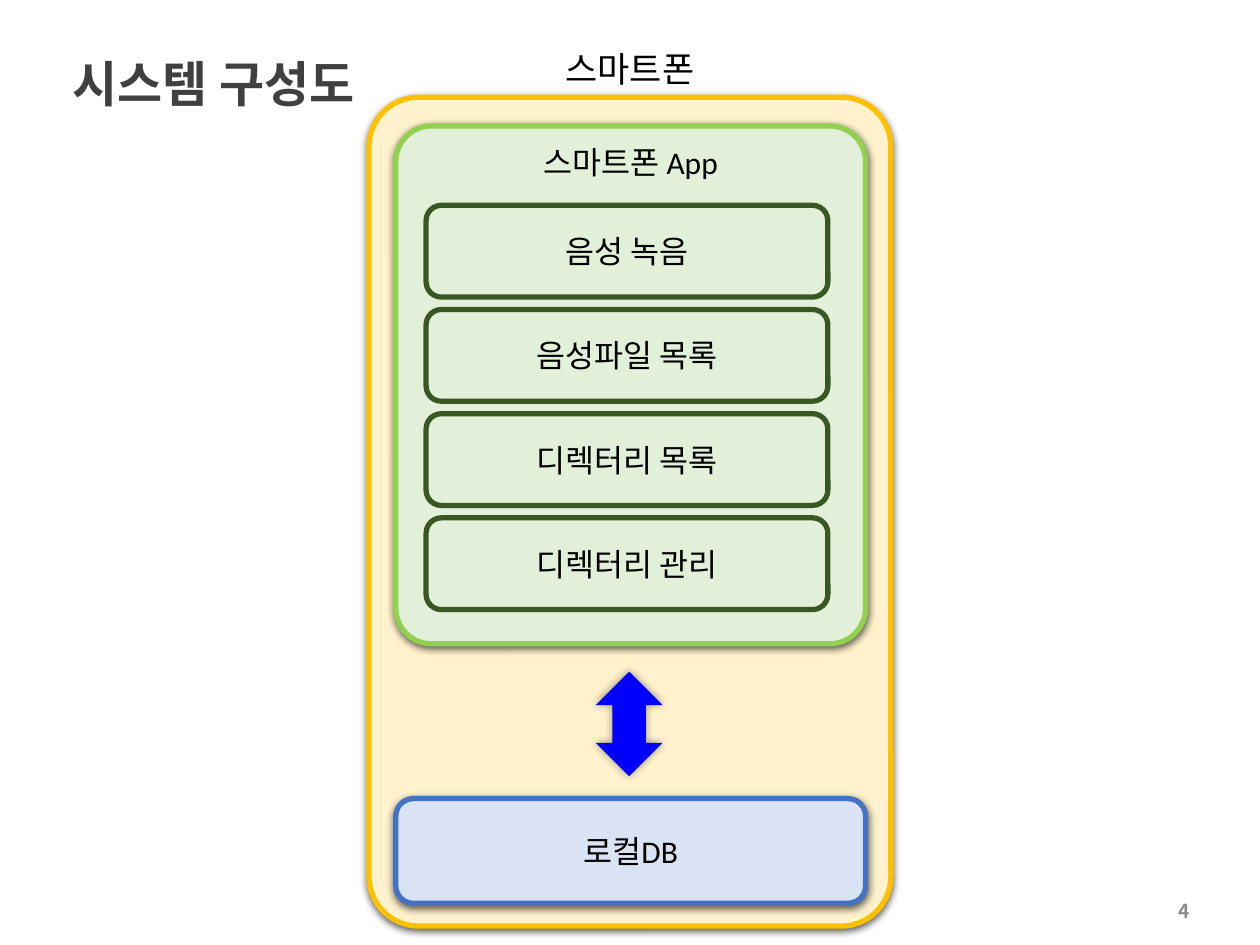
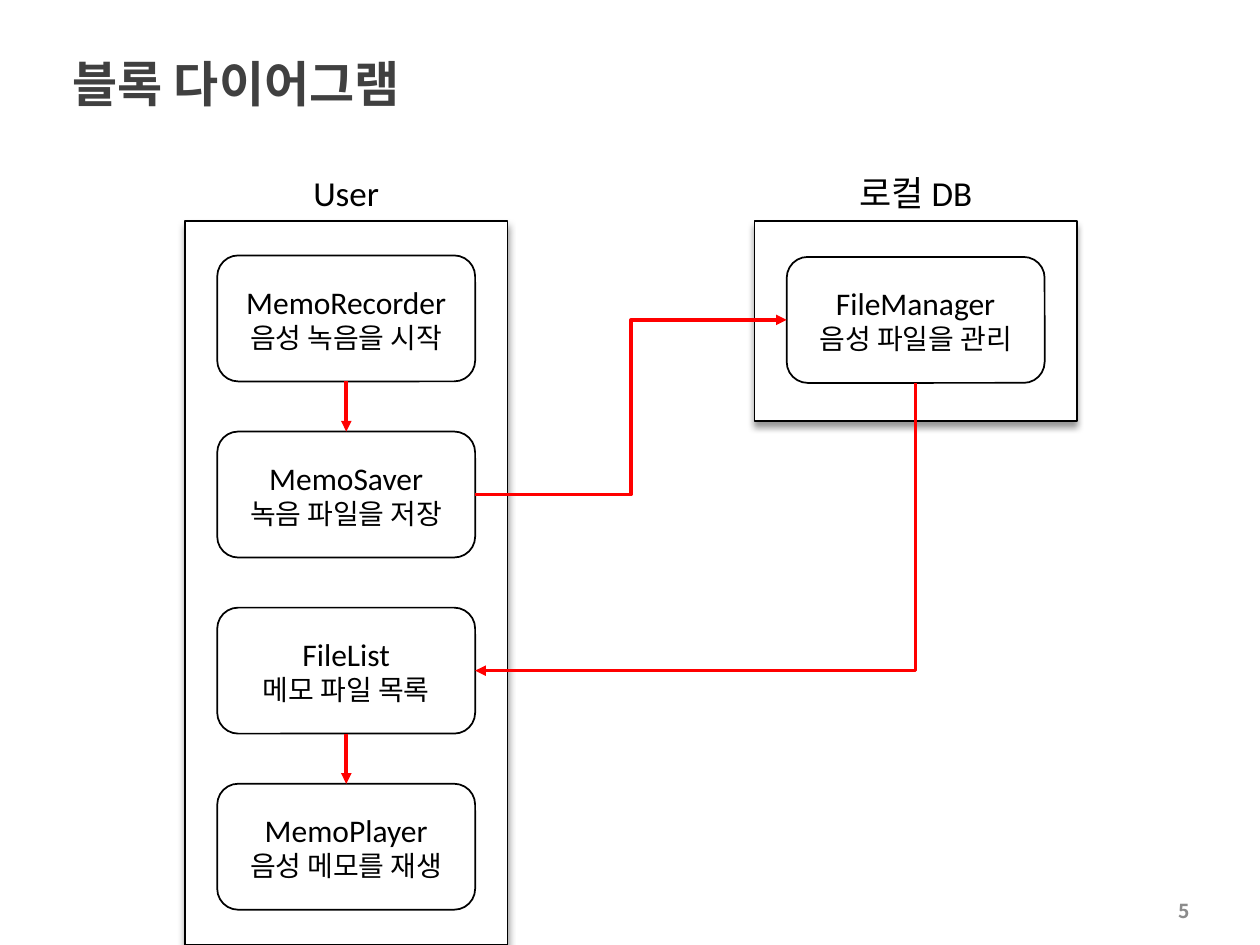
from lxml.etree import SubElement
from pptx import Presentation
from pptx.dml.color import RGBColor
from pptx.enum.shapes import MSO_CONNECTOR, MSO_SHAPE
from pptx.enum.text import MSO_ANCHOR, PP_ALIGN
from pptx.oxml.ns import qn
from pptx.util import Cm, Pt

# Content
SYSTEM = {
    "title": "시스템 구성도", "number": "4", "phone": "스마트폰",
    "app": "스마트폰 App", "db": "로컬DB",
    "modules": ["음성 녹음", "음성파일 목록", "디렉터리 목록", "디렉터리 관리"],
}
BLOCKS = {
    "title": "블록 다이어그램", "number": "5", "user": "User", "db": "로컬 DB",
    "user_blocks": [
        ("MemoRecorder", "음성 녹음을 시작"),
        ("MemoSaver", "녹음 파일을 저장"),
        ("FileList", "메모 파일 목록"),
        ("MemoPlayer", "음성 메모를 재생"),
    ],
    "db_block": ("FileManager", "음성 파일을 관리"),
}

# Shared look
COLORS = {
    "title": "404040", "number": "8C8C8C", "black": "000000", "white": "FFFFFF",
    "phone": "FFF2CC", "phone_line": "FFC000", "app": "E2F0D9",
    "app_line": "92D050", "module_line": "385723", "db": "DAE3F3",
    "db_line": "4472C4", "arrow": "0000FF", "flow": "FF0000",
}
KOREAN = "Noto Sans CJK KR"
TITLE = {"size": Pt(28), "name": KOREAN, "bold": True}
NUMBER = {"size": Pt(11), "name": KOREAN, "bold": True}
LABEL, BODY, DETAIL = ({"size": Pt(n), "name": "Calibri"} for n in (20, 18, 16))

# Shadows: opacity %, blur pt, distance pt
DEEP, GLOW, SOFT = (63, 4.5, 1.5), (40, 5, 0), (40, 4, 3)

# Connection sites of a rounded rectangle
TOP, LEFT, BOTTOM, RIGHT = range(4)


def rgb(name):
    return RGBColor.from_string(COLORS[name])


def write(sp, lines, color="black", align=PP_ALIGN.CENTER,
          anchor=MSO_ANCHOR.MIDDLE):
    """Fill a shape with (text, font format) lines and return its paragraphs."""
    tf = sp.text_frame
    tf.word_wrap = True
    tf.vertical_anchor = anchor
    for i, (text, fmt) in enumerate(lines):
        p = tf.paragraphs[0] if i == 0 else tf.add_paragraph()
        p.alignment = align
        r = p.add_run()
        r.text = text
        for key, value in fmt.items():
            setattr(r.font, key, value)
        r.font.color.rgb = rgb(color)
        SubElement(r._r.get_or_add_rPr(), qn("a:ea"), typeface=KOREAN)
    return tf.paragraphs


def add_text(s, box, text, fmt, **options):
    sp = s.shapes.add_textbox(*map(Cm, box))
    return write(sp, [(text, fmt)], **options)


def add_box(s, kind, box, fill=None, line=None, width=3, shadow=None, adj=None):
    sp = s.shapes.add_shape(kind, *map(Cm, box))
    sp.shadow.inherit = False
    if fill:
        sp.fill.solid()
        sp.fill.fore_color.rgb = rgb(fill)
    else:
        sp.fill.background()
    if line:
        sp.line.color.rgb = rgb(line)
        sp.line.width = Pt(width)
    else:
        sp.line.fill.background()
    if adj:
        sp.adjustments[0] = adj
    if shadow:
        alpha, blur, dist = shadow
        effects = sp._element.spPr.find(qn("a:effectLst"))
        outer = SubElement(effects, qn("a:outerShdw"), blurRad=str(Pt(blur)),
                           dist=str(Pt(dist)), dir="5400000", rotWithShape="0")
        clr = SubElement(outer, qn("a:srgbClr"), val=COLORS["black"])
        SubElement(clr, qn("a:alpha"), val=str(alpha * 1000))
    return sp


def add_label(s, box, text):
    """Put a heading centred on top of a container."""
    x, y, w, _ = box
    label_w, label_h = 6.07, 1.12
    add_text(s, (x + (w - label_w) / 2, y - label_h, label_w, label_h),
             text, LABEL, anchor=MSO_ANCHOR.TOP)


def add_flow(s, start, start_site, end, end_site, kind=MSO_CONNECTOR.STRAIGHT):
    c = s.shapes.add_connector(kind, 0, 0, 0, 0)
    c.begin_connect(start, start_site)
    c.end_connect(end, end_site)
    c.line.color.rgb = rgb("flow")
    c.line.width = Pt(2)
    SubElement(c.line._get_or_add_ln(), qn("a:tailEnd"), type="triangle")
    SubElement(c._element.spPr, qn("a:effectLst"))
    return c


def make_corner(c):
    """Turn an elbow into a single corner: down first, then left."""
    x, y, w, h = c.left, c.top, c.width, c.height
    c.left, c.top = x + (w - h) // 2, y + (h - w) // 2
    c.width, c.height = h, w
    xfrm = c._element.spPr.find(qn("a:xfrm"))
    xfrm.attrib.pop("flipH", None)
    xfrm.set("rot", "5400000")
    c._element.spPr.find(qn("a:prstGeom")).set("prst", "bentConnector2")


def new_slide(prs, content):
    s = prs.slides.add_slide(prs.slide_layouts[6])
    title = add_text(s, (1.22, 0.38, 23.01, 2.03), content["title"], TITLE,
                     color="title", align=PP_ALIGN.LEFT,
                     anchor=MSO_ANCHOR.BOTTOM)
    title[0].line_spacing = 0.9
    add_text(s, (18.52, 18.08, 5.72, 0.58), content["number"], NUMBER,
             color="number", align=PP_ALIGN.RIGHT)
    return s


def build_system(prs):
    s = new_slide(prs, SYSTEM)
    rounded = MSO_SHAPE.ROUNDED_RECTANGLE

    # Phone with its database and app
    phone = (7.44, 1.96, 10.52, 16.71)
    add_box(s, rounded, phone, "phone", "phone_line", shadow=DEEP, adj=0.095)
    add_label(s, phone, SYSTEM["phone"])
    db = add_box(s, rounded, (7.98, 16.1, 9.47, 2.11), "db", "db_line",
                 shadow=DEEP)
    write(db, [(SYSTEM["db"], BODY)])
    app = add_box(s, rounded, (7.98, 2.54, 9.47, 10.44), "app", "app_line",
                  shadow=DEEP, adj=0.076)
    write(app, [(SYSTEM["app"], BODY)], anchor=MSO_ANCHOR.TOP)

    # App modules
    for i, name in enumerate(SYSTEM["modules"]):
        module = add_box(s, rounded, (8.59, 4.14 + 2.1 * i, 8.1, 1.85),
                         line="module_line")
        write(module, [(name, BODY)])

    # Exchange between app and database
    add_box(s, MSO_SHAPE.UP_DOWN_ARROW, (12.01, 13.54, 1.35, 2.11), "arrow",
            shadow=GLOW)


def build_blocks(prs):
    s = new_slide(prs, BLOCKS)

    # Containers
    user = (3.73, 4.45, 6.5, 14.6)
    db = (15.21, 4.45, 6.5, 4.04)
    for box in (user, db):
        add_box(s, MSO_SHAPE.RECTANGLE, box, "white", "black", 1, SOFT)
    add_label(s, user, BLOCKS["user"])
    add_label(s, db, BLOCKS["db"])

    # Blocks, centred in their container
    def add_block(container, y, texts):
        block_w, block_h = 5.2, 2.54
        x = container[0] + (container[2] - block_w) / 2
        sp = add_box(s, MSO_SHAPE.ROUNDED_RECTANGLE, (x, y, block_w, block_h),
                     "white", "black", 1)
        write(sp, zip(texts, (BODY, DETAIL)))
        return sp

    recorder, saver, file_list, player = [
        add_block(user, 5.15 + 3.55 * i, texts)
        for i, texts in enumerate(BLOCKS["user_blocks"])]
    manager = add_block(db, 5.18, BLOCKS["db_block"])

    # Flow
    add_flow(s, recorder, BOTTOM, saver, TOP)
    add_flow(s, saver, RIGHT, manager, LEFT, MSO_CONNECTOR.ELBOW)
    make_corner(add_flow(s, manager, BOTTOM, file_list, RIGHT,
                         MSO_CONNECTOR.ELBOW))
    add_flow(s, file_list, BOTTOM, player, TOP)


def main():
    prs = Presentation()
    prs.slide_width, prs.slide_height = Cm(25.4), Cm(19.05)
    build_system(prs)
    build_blocks(prs)
    prs.save("out.pptx")


if __name__ == "__main__":
    main()
